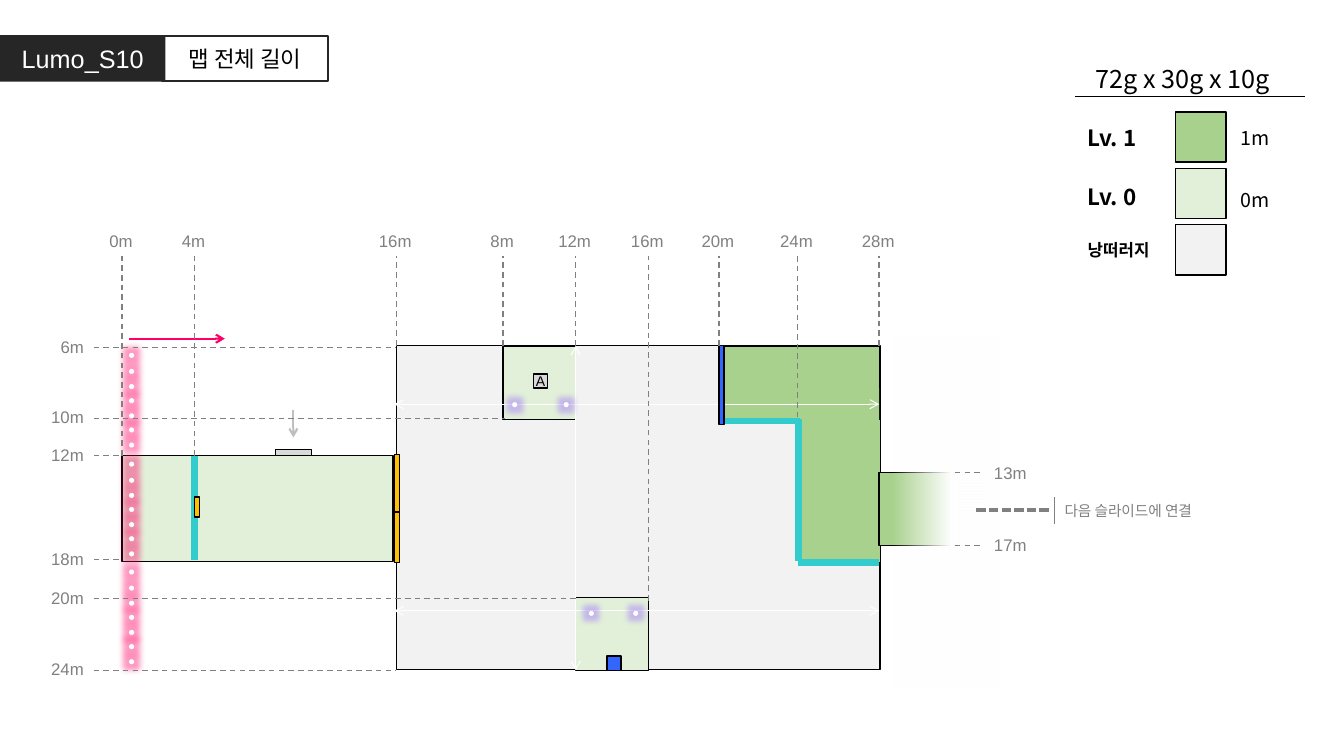
from dataclasses import dataclass

from lxml import etree
from pptx import Presentation
from pptx.dml.color import RGBColor
from pptx.enum.dml import MSO_LINE
from pptx.enum.shapes import MSO_CONNECTOR, MSO_SHAPE
from pptx.enum.text import MSO_ANCHOR, PP_ALIGN
from pptx.oxml.ns import qn
from pptx.slide import Slide
from pptx.util import Inches, Pt

RECT, OVAL = MSO_SHAPE.RECTANGLE, MSO_SHAPE.OVAL
STRAIGHT = MSO_CONNECTOR.STRAIGHT
DASH, DOT = MSO_LINE.DASH, MSO_LINE.SQUARE_DOT
LEFT, CENTER, RIGHT = PP_ALIGN.LEFT, PP_ALIGN.CENTER, PP_ALIGN.RIGHT
TOP, MIDDLE = MSO_ANCHOR.TOP, MSO_ANCHOR.MIDDLE

BLACK = RGBColor(0x00, 0x00, 0x00)
WHITE = RGBColor(0xFF, 0xFF, 0xFF)
CHARCOAL = RGBColor(0x26, 0x26, 0x26)
GRAY = RGBColor(0x80, 0x80, 0x80)
ARROW_GRAY = RGBColor(0xBF, 0xBF, 0xBF)
BLOCK_GRAY = RGBColor(0xD9, 0xD9, 0xD9)
CLIFF = RGBColor(0xF2, 0xF2, 0xF2)
LEVEL_0 = RGBColor(0xE2, 0xF0, 0xD9)
LEVEL_1 = RGBColor(0xA9, 0xD1, 0x8E)
CYAN = RGBColor(0x33, 0xCC, 0xCC)
AMBER = RGBColor(0xFF, 0xC0, 0x00)
BLUE = RGBColor(0x33, 0x66, 0xFF)
PINK = RGBColor(0xFF, 0x00, 0x66)
PURPLE = RGBColor(0x99, 0x66, 0xFF)

SANS, KOREAN = "Arial", "Noto Sans CJK KR"


def write(frame, text, size, color, font=SANS, align=LEFT, anchor=TOP, bold=False):
    """Put one formatted run into a text frame."""
    frame.word_wrap = True
    frame.vertical_anchor = anchor
    paragraph = frame.paragraphs[0]
    paragraph.alignment = align
    run = paragraph.add_run()
    run.text = text
    run.font.size, run.font.bold = Pt(size), bold
    run.font.color.rgb = color
    run.font.name = font
    etree.SubElement(run._r.get_or_add_rPr(), qn("a:ea"), typeface=KOREAN)


@dataclass
class Region:
    """A part of the slide whose contents are placed from its top left corner."""

    slide: Slide
    left: float
    top: float

    def spot(self, x, y):
        """Turn a place in the region into a place on the slide."""
        return Inches(self.left + x), Inches(self.top + y)

    def block(self, x, y, width, height, fill, outline=BLACK, kind=RECT):
        """Add a filled shape with an optional thin outline."""
        shape = self.slide.shapes.add_shape(kind, *self.spot(x, y), Inches(width), Inches(height))
        shape.shadow.inherit = False
        shape.fill.solid()
        shape.fill.fore_color.rgb = fill
        if outline is None:
            shape.line.fill.background()
        else:
            shape.line.color.rgb = outline
            shape.line.width = Pt(1)
        return shape

    def light(self, x, y, color, alpha):
        """Add a small white dot with a coloured glow."""
        dot = self.block(x, y, 0.05, 0.05, WHITE, None, OVAL)
        effects = dot._element.spPr.find(qn("a:effectLst"))
        glow = etree.SubElement(effects, qn("a:glow"), rad=str(Inches(0.11)))
        tint = etree.SubElement(glow, qn("a:srgbClr"), val=str(color))
        etree.SubElement(tint, qn("a:alpha"), val=str(alpha * 1000))

    def line(self, x1, y1, x2, y2, color, width=1.0, dash=None, arrows=()):
        """Add a straight line with optional dashes and arrowheads."""
        link = self.slide.shapes.add_connector(STRAIGHT, *self.spot(x1, y1), *self.spot(x2, y2))
        link.line.color.rgb = color
        link.line.width = Pt(width)
        if dash is not None:
            link.line.dash_style = dash
        for end in arrows:
            etree.SubElement(link.line._get_or_add_ln(), qn("a:" + end), type="arrow")
        etree.SubElement(link._element.spPr, qn("a:effectLst"))

    def label(self, x, y, width, height, text, size=12, color=GRAY, **style):
        """Add a text box."""
        box = self.slide.shapes.add_textbox(*self.spot(x, y), Inches(width), Inches(height))
        write(box.text_frame, text, size, color, **style)


def draw_header(region):
    """Draw the stage tab and the slide title beside it."""
    title = region.slide.shapes.title
    title.left, title.top = region.spot(1.61, 0.01)
    title.width, title.height = Inches(1.64), Inches(0.44)
    title.line.color.rgb = CHARCOAL
    title.line.width = Pt(1.5)
    write(title.text_frame, "맵 전체 길이", 16, BLACK, align=CENTER, anchor=MIDDLE)
    stage = region.block(0, 0, 1.64, 0.46, CHARCOAL, None)
    write(stage.text_frame, "Lumo_S10", 18, WHITE, align=CENTER, anchor=MIDDLE)


def draw_legend(region):
    """Draw the map size and the key of floor levels."""
    region.line(0, 0.38, 2.28, 0.38, BLACK)
    region.label(-0.03, 0, 2.2, 0.4, "72g x 30g x 10g", 18, BLACK, font=KOREAN, align=CENTER)
    levels = [("Lv. 1", 16, 0.6, LEVEL_1, "1m", 0.62),
              ("Lv. 0", 16, 1.19, LEVEL_0, "0m", 1.24),
              ("낭떠러지", 12, 1.75, CLIFF, None, 0)]
    for row, (name, size, name_y, color, height, height_y) in enumerate(levels):
        region.block(1, 0.53 + 0.56 * row, 0.5, 0.5, color)
        region.label(0.03, name_y, 1.07, 0.36, name, size, BLACK, font=KOREAN, bold=True)
        if height:
            region.label(1.55, height_y, 0.71, 0.33, height, 14, BLACK, font=KOREAN)


def draw_arena(region):
    """Draw the cliff area with its rooms, raised ledge and spans."""
    region.block(0, 0, 4.8, 3.21, CLIFF)
    for x, y in [(1.06, 0.01), (1.78, 2.5)]:
        region.block(x, y, 0.72, 0.72, LEVEL_0)
    region.block(3.2, 0.01, 1.6, 0.72, LEVEL_1)
    region.block(4.01, 0.73, 0.79, 1.42, LEVEL_1)
    region.block(4.01, 0.42, 0.78, 1.42, LEVEL_1, None)
    spans = [(-0.02, 2.63, 4.79, 2.63), (1.78, 0, 1.78, 3.22), (-0.02, 0.58, 4.79, 0.58)]
    for span in spans:
        region.line(*span, WHITE, 0.75, arrows=("headEnd", "tailEnd"))
    edges = [(3.2, 0.75, 4, 0.75), (3.99, 0.73, 3.99, 2.14), (3.98, 2.15, 4.79, 2.15)]
    for edge in edges:
        region.line(*edge, CYAN, 4.5)
    for x, y in [(1.91, 2.63), (2.35, 2.63), (1.15, 0.56), (1.66, 0.56)]:
        region.light(x, y, PURPLE, 40)
    region.block(2.09, 3.08, 0.14, 0.14, BLUE)
    region.block(3.2, 0, 0.05, 0.78, BLUE)
    marker = region.block(1.36, 0.28, 0.14, 0.14, BLOCK_GRAY)
    frame = marker.text_frame
    frame.margin_left = frame.margin_right = frame.margin_top = frame.margin_bottom = 0
    write(frame, "A", 10, BLACK, align=CENTER, anchor=MIDDLE)


def draw_corridor(region):
    """Draw the entry corridor, its gates and the moving laser wall."""
    region.block(0, 0, 2.69, 1.05, LEVEL_0)
    region.block(1.52, -0.06, 0.36, 0.06, BLOCK_GRAY)
    region.line(0.72, 0, 0.72, 1.04, CYAN, 4.5)
    for x, y, height in [(0.72, 0.41, 0.2), (2.7, 0.56, 0.5), (2.7, -0.01, 0.57)]:
        region.block(x, y, 0.05, height, AMBER)
    region.line(0.07, -1.16, 1.02, -1.16, PINK, 1.5, arrows=("tailEnd",))
    region.line(1.7, -0.45, 1.7, -0.18, ARROW_GRAY, 1.5, arrows=("tailEnd",))
    for start in (-1.02, 0.06, 1.13):
        for offset in (0, 0.16, 0.31, 0.45, 0.6, 0.74, 0.89):
            region.light(0.07, start + offset, PINK, 40)


def draw_exit(region):
    """Draw the fading exit path and the note on where it leads."""
    region.block(0, 0, 1.03, 0.72, LEVEL_1)
    fade = region.block(0.13, -1.35, 1.06, 3.5, WHITE, None)
    fade.fill.gradient()
    fade.fill.gradient_angle = 0
    for stop, position in zip(fade.fill.gradient_stops, (0, 0.55)):
        stop.color.rgb = WHITE
        stop.position = position
    clear = next(fade._element.spPr.iter(qn("a:srgbClr")))
    etree.SubElement(clear, qn("a:alpha"), val="0")
    for y, distance in [(0, "13m"), (0.72, "17m")]:
        region.line(0.75, y, 1.03, y, GRAY, dash=DASH)
        region.label(1.04, y - 0.15, 0.58, 0.3, distance)
    region.line(1.68, 0.37, 0.94, 0.37, GRAY, 2.25, DOT)
    region.line(1.74, 0.24, 1.74, 0.51, GRAY)
    region.label(1.74, 0.24, 1.74, 0.28, "다음 슬라이드에 연결", 10.5)


def draw_axes(region):
    """Draw the distance labels and their dashed guides along the top and left."""
    columns = [("0m", 0.86, 2.28), ("4m", 1.58, 2.28), ("16m", 3.58, 1.19),
               ("8m", 4.64, 1.19), ("12m", 5.36, 1.19), ("16m", 6.08, 3.72),
               ("20m", 6.78, 1.19), ("24m", 7.56, 1.9), ("28m", 8.37, 1.19)]
    for distance, x, end in columns:
        region.line(x, end, x, 0.3, GRAY, dash=DASH)
        region.label(x - 0.3, 0, 0.58, 0.3, distance, align=CENTER)
    rows = [("6m", 1.21, 3.58), ("10m", 1.91, 4.66), ("12m", 2.28, 0.86),
            ("18m", 3.31, 0.86), ("20m", 3.7, 5.36), ("24m", 4.41, 3.58)]
    for distance, y, end in rows:
        region.line(0.58, y, end, y, GRAY, dash=DASH)
        region.label(0, y - 0.16, 0.58, 0.3, distance, align=RIGHT)


def main():
    """Build the map slide and save it."""
    deck = Presentation()
    deck.slide_width, deck.slide_height = Inches(13.33), Inches(7.5)
    slide = deck.slides.add_slide(deck.slide_layouts[5])
    draw_header(Region(slide, 0, 0.35))
    draw_legend(Region(slide, 10.66, 0.58))
    draw_arena(Region(slide, 3.93, 3.43))
    draw_corridor(Region(slide, 1.21, 4.52))
    draw_exit(Region(slide, 8.72, 4.69))
    draw_axes(Region(slide, 0.35, 2.24))
    deck.save("out.pptx")


main()
